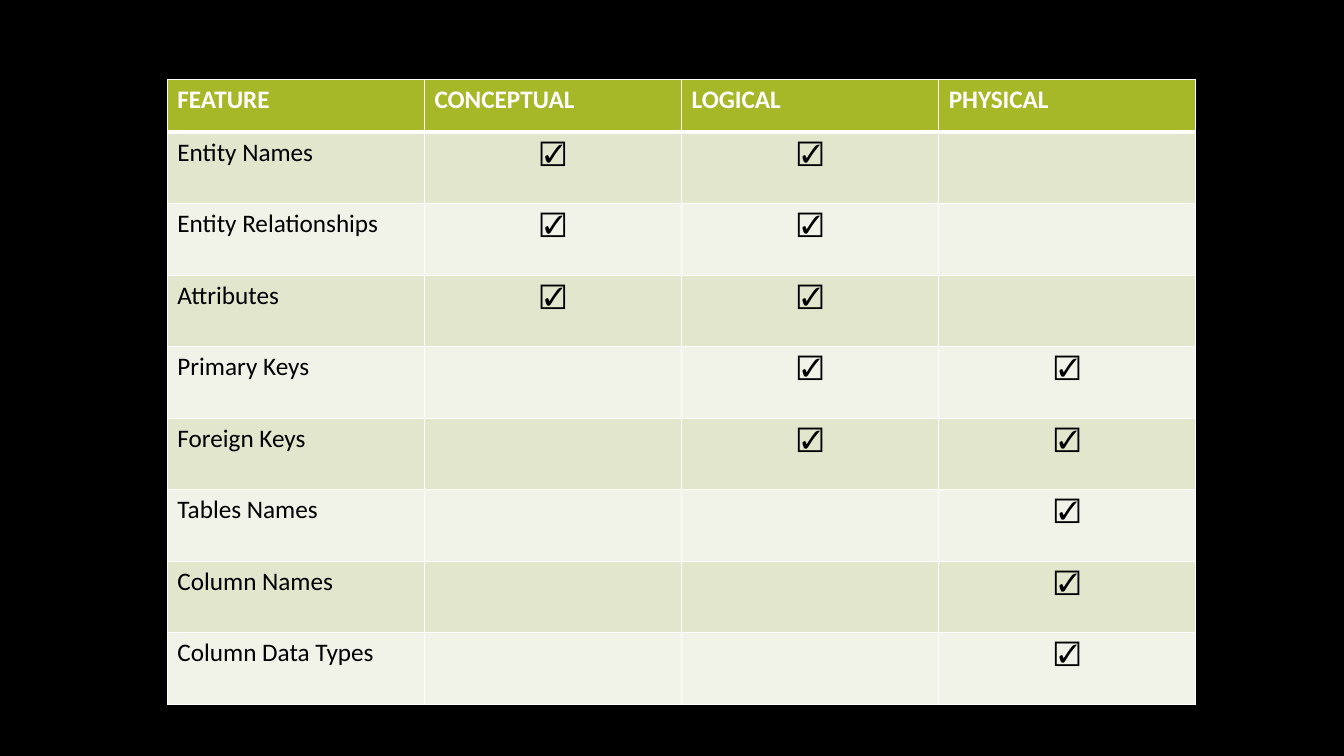
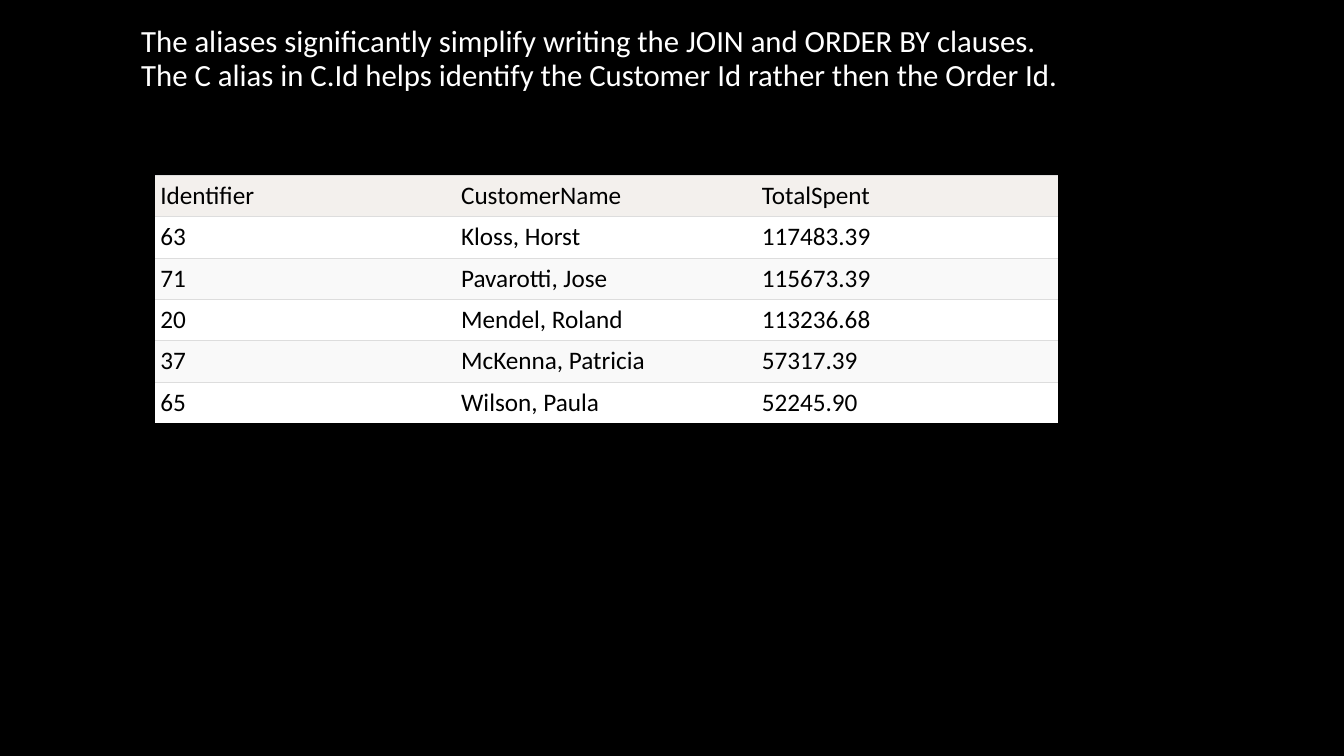
from lxml import etree
from pptx import Presentation
from pptx import util as u
from pptx.dml import color
from pptx.enum import text
from pptx.oxml import ns

COLORS = {
    "background": "000000",
    "light_text": "FFFFFF",
    "dark_text": "000000",
    "feature_header": "A6B727",
    "feature_bands": ("E1E6CD", "F1F3E8"),
    "feature_line": "FFFFFF",
    "result_header": "F3F0ED",
    "result_bands": ("FFFFFF", "F9F9F9"),
    "result_line": "DDDDDD",
}
FONT = "Calibri"
CELL_SIZE = 18
BODY_SIZE = 22
PLAIN_TABLE_STYLE = "{2D5ABB26-0587-4C30-8999-92F81FD0307C}"
CHECK = "☑"
FEATURES = [
    ("Entity Names", "CL"),
    ("Entity Relationships", "CL"),
    ("Attributes", "CL"),
    ("Primary Keys", "LP"),
    ("Foreign Keys", "LP"),
    ("Tables Names", "P"),
    ("Column Names", "P"),
    ("Column Data Types", "P"),
]
RESULTS = [
    ("Identifier", "CustomerName", "TotalSpent"),
    ("63", "Kloss, Horst", "117483.39"),
    ("71", "Pavarotti, Jose", "115673.39"),
    ("20", "Mendel, Roland", "113236.68"),
    ("37", "McKenna, Patricia", "57317.39"),
    ("65", "Wilson, Paula", "52245.90"),
]
ALIAS_NOTE = (
    "The aliases significantly simplify writing the JOIN and ORDER BY clauses.\n"
    "The C alias in C.Id helps identify the Customer Id rather then the Order Id."
)


def rgb(value):
    return color.RGBColor.from_string(value)


def format_runs(paragraph, size, text_color, bold=False):
    for run in paragraph.runs:
        run.font.name = FONT
        run.font.size = u.Pt(size)
        run.font.bold = bold
        run.font.color.rgb = rgb(text_color)


def set_border(cell, side, line_color, points):
    properties = cell._tc.get_or_add_tcPr()
    line = etree.SubElement(properties, ns.qn(f"a:ln{side}"), w=str(u.Pt(points)))
    fill = etree.SubElement(line, ns.qn("a:solidFill"))
    etree.SubElement(fill, ns.qn("a:srgbClr"), val=line_color)


def fill_cell(cell, value, fill_color, text_color, bold=False):
    cell.fill.solid()
    cell.fill.fore_color.rgb = rgb(fill_color)
    cell.text_frame.text = value
    paragraph = cell.text_frame.paragraphs[0]
    paragraph.font.size = u.Pt(CELL_SIZE)
    format_runs(paragraph, CELL_SIZE, text_color, bold)
    return paragraph


def add_plain_table(slide, rows, columns, left, top, width, heights):
    frame = slide.shapes.add_table(
        rows, columns, u.Inches(left), u.Inches(top),
        u.Inches(width), u.Inches(sum(heights)),
    )
    table = frame.table
    table.first_row = False
    table.horz_banding = False
    table._tbl.tblPr.find(ns.qn("a:tableStyleId")).text = PLAIN_TABLE_STYLE
    for row, height in zip(table.rows, heights):
        row.height = u.Inches(height)
    return table


def add_feature_table(slide, left, top, width):
    rows = [("FEATURE", "CONCEPTUAL", "LOGICAL", "PHYSICAL")]
    for name, models in FEATURES:
        rows.append((name, *(CHECK if model in models else "" for model in "CLP")))
    heights = [0.52] + [0.71] * len(FEATURES)
    table = add_plain_table(slide, len(rows), 4, left, top, width, heights)
    for row_index, values in enumerate(rows):
        header = row_index == 0
        fill_color = COLORS["feature_header"] if header else COLORS["feature_bands"][(row_index - 1) % 2]
        text_color = COLORS["light_text"] if header else COLORS["dark_text"]
        points = {"L": 1, "R": 1, "T": 3 if row_index == 1 else 1, "B": 3 if header else 1}
        for column, value in enumerate(values):
            cell = table.cell(row_index, column)
            for side, weight in points.items():
                set_border(cell, side, COLORS["feature_line"], weight)
            paragraph = fill_cell(cell, value, fill_color, text_color, bold=header)
            if value == CHECK:
                paragraph.alignment = text.PP_ALIGN.CENTER


def add_result_table(slide, left, top, width):
    heights = [0.41] * len(RESULTS)
    table = add_plain_table(slide, len(RESULTS), 3, left, top, width, heights)
    for row_index, values in enumerate(RESULTS):
        fill_color = COLORS["result_bands"][(row_index - 1) % 2] if row_index else COLORS["result_header"]
        for column, value in enumerate(values):
            cell = table.cell(row_index, column)
            cell.margin_left = cell.margin_right = u.Inches(0.05)
            cell.margin_top = cell.margin_bottom = u.Inches(0.05)
            set_border(cell, "T", COLORS["result_line"], 0.75)
            if row_index < len(RESULTS) - 1:
                set_border(cell, "B", COLORS["result_line"], 0.75)
            fill_cell(cell, value, fill_color, COLORS["dark_text"])


def place_note(body, left, top, width, height):
    body.left, body.top = u.Inches(left), u.Inches(top)
    body.width, body.height = u.Inches(width), u.Inches(height)
    frame = body.text_frame
    frame.auto_size = text.MSO_AUTO_SIZE.NONE
    frame.vertical_anchor = text.MSO_ANCHOR.TOP
    paragraph = frame.paragraphs[0]
    paragraph.text = ALIAS_NOTE
    paragraph.line_spacing = 0.9
    paragraph.space_before = u.Pt(14)
    format_runs(paragraph, BODY_SIZE, COLORS["light_text"])
    properties = paragraph._p.get_or_add_pPr()
    properties.set("marL", str(u.Inches(0.05)))
    properties.set("indent", "0")
    etree.SubElement(properties, ns.qn("a:buNone"))


def build_feature_slide(presentation):
    slide = presentation.slides.add_slide(presentation.slide_layouts[6])
    add_feature_table(slide, 1.66, 0.79, 10.2)


def build_result_slide(presentation):
    slide = presentation.slides.add_slide(presentation.slide_layouts[1])
    title = slide.shapes.title
    title.element.getparent().remove(title.element)
    place_note(slide.placeholders[1], 1.25, 0.21, 10.8, 6.46)
    add_result_table(slide, 1.54, 1.74, 8.95)


def main():
    presentation = Presentation()
    presentation.slide_width = u.Inches(13.33)
    presentation.slide_height = u.Inches(7.5)
    background = presentation.slide_master.background.fill
    background.solid()
    background.fore_color.rgb = rgb(COLORS["background"])
    build_feature_slide(presentation)
    build_result_slide(presentation)
    presentation.save("out.pptx")


if __name__ == "__main__":
    main()
